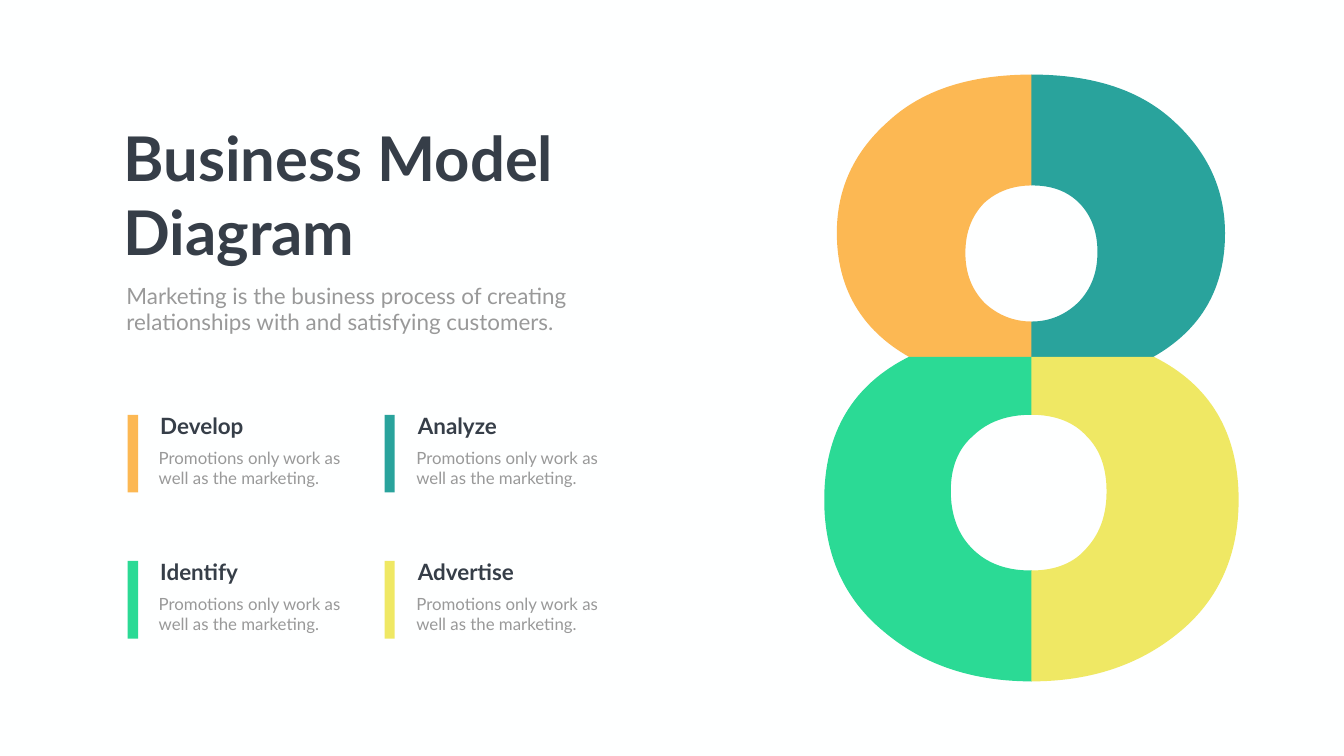
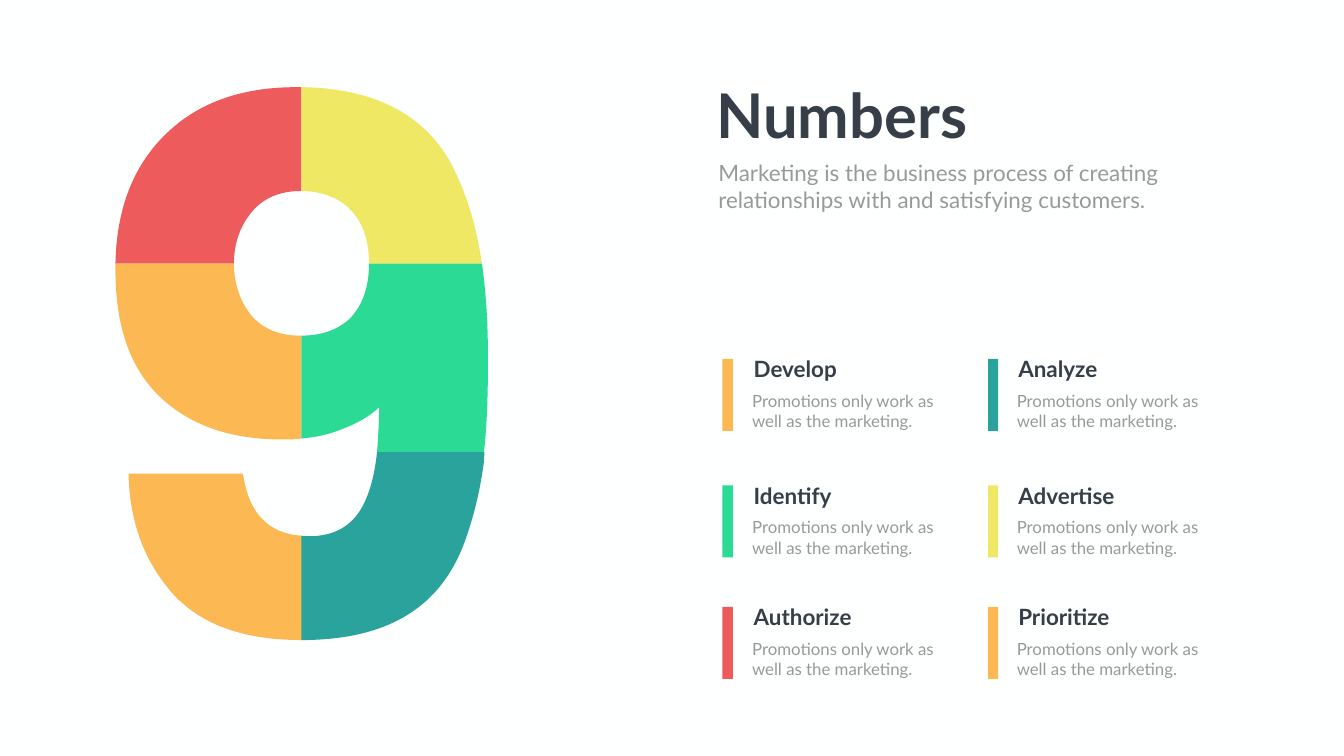
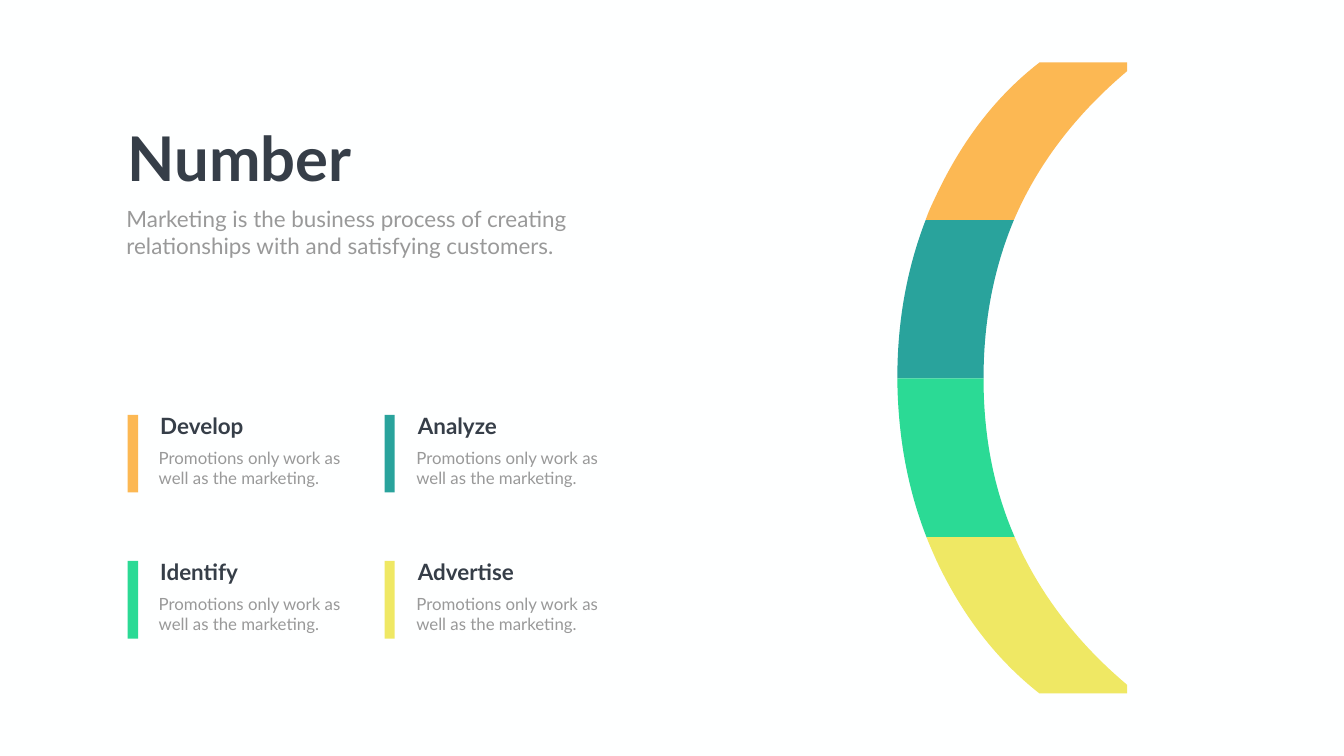
from pptx import Presentation
from pptx.dml.color import RGBColor
from pptx.enum.shapes import MSO_SHAPE
from pptx.enum.text import MSO_AUTO_SIZE
from pptx.oxml.ns import qn
from pptx.util import Inches, Pt

RECT = MSO_SHAPE.RECTANGLE
GROW = MSO_AUTO_SIZE.SHAPE_TO_FIT_TEXT

# Shared colours, text styles and wording
PAPER, DARK, GREY = "FEFFFF", "363E48", "999999"
ORANGE, TEAL, GREEN = "FCB853", "29A39C", "2BDA95"
YELLOW, RED = "EFE864", "ED5B5D"

TITLE = (DARK, {"name": "Lato", "size": Pt(88), "bold": True})
LEAD = (GREY, {"name": "Lato", "size": Pt(32)})
HEAD = (DARK, {"name": "Lato", "size": Pt(32), "bold": True})
BODY = (GREY, {"name": "Lato", "size": Pt(24)})

INTRO = ["Marketing is the business process of creating",
         "relationships with and satisfying customers."]
NOTE = ["Promotions only work as well as the marketing."]
ITEMS = [("Develop", ORANGE), ("Analyze", TEAL), ("Identify", GREEN),
         ("Advertise", YELLOW), ("Authorize", RED), ("Prioritize", ORANGE)]

# Digit outlines: a pair is a corner, six values are a Bezier curve
EIGHT = [
    (ORANGE, [(16.6, 4.62), (16.6, 5.71, 17.08, 6.54, 18.03, 7.08),
              (20.47, 7.08), (20.47, 6.38),
              (20.1, 6.38, 19.79, 6.25, 19.53, 6.01),
              (19.28, 5.75, 19.15, 5.43, 19.15, 5.02),
              (19.15, 4.6, 19.28, 4.28, 19.52, 4.03),
              (19.77, 3.8, 20.09, 3.68, 20.47, 3.68), (20.47, 1.48),
              (19.23, 1.48, 18.29, 1.79, 17.62, 2.41),
              (16.93, 3.02, 16.6, 3.76, 16.6, 4.62)]),
    (GREEN, [(17.53, 12.53), (18.31, 13.19, 19.29, 13.52, 20.47, 13.52),
             (20.47, 11.32), (20.44, 11.32),
             (19.95, 11.32, 19.56, 11.17, 19.28, 10.88),
             (19, 10.6, 18.86, 10.21, 18.86, 9.74),
             (18.86, 9.28, 19, 8.91, 19.3, 8.65),
             (19.59, 8.37, 19.97, 8.23, 20.46, 8.23),
             (20.47, 8.23), (20.47, 7.08), (18.03, 7.08),
             (16.91, 7.64, 16.35, 8.59, 16.35, 9.92),
             (16.35, 11, 16.74, 11.88, 17.53, 12.53)]),
    (TEAL, [(20.48, 3.68), (20.86, 3.68, 21.17, 3.79, 21.41, 4.03),
            (21.65, 4.28, 21.77, 4.6, 21.77, 5),
            (21.77, 5.42, 21.64, 5.74, 21.39, 6),
            (21.13, 6.25, 20.82, 6.38, 20.46, 6.38),
            (20.46, 7.08), (22.88, 7.08),
            (23.83, 6.54, 24.3, 5.72, 24.3, 4.63),
            (24.3, 3.78, 23.97, 3.04, 23.3, 2.42),
            (22.63, 1.79, 21.69, 1.48, 20.46, 1.48), (20.46, 3.68)]),
    (YELLOW, [(22.89, 7.08), (20.46, 7.08), (20.46, 8.23),
              (20.94, 8.23, 21.31, 8.38, 21.56, 8.66),
              (21.83, 8.93, 21.95, 9.3, 21.95, 9.75),
              (21.95, 10.2, 21.83, 10.57, 21.56, 10.87),
              (21.31, 11.17, 20.94, 11.32, 20.46, 11.32), (20.46, 13.52),
              (21.64, 13.52, 22.62, 13.19, 23.41, 12.53),
              (24.18, 11.89, 24.57, 11.01, 24.57, 9.92),
              (24.57, 8.59, 24.01, 7.64, 22.89, 7.08)]),
]
NINE = [
    (RED, [(2.29, 5.23), (4.64, 5.23),
           (4.64, 4.83, 4.76, 4.49, 4.99, 4.21),
           (5.22, 3.93, 5.55, 3.79, 5.97, 3.79),
           (5.98, 3.79), (5.98, 1.73), (5.87, 1.73),
           (4.77, 1.73, 3.89, 2.05, 3.25, 2.7),
           (2.63, 3.32, 2.31, 4.17, 2.29, 5.23)]),
    (ORANGE, [(3.19, 7.89), (3.79, 8.45, 4.59, 8.72, 5.6, 8.72),
              (5.73, 8.72, 5.86, 8.72, 5.98, 8.7),
              (5.98, 6.66), (5.96, 6.66),
              (5.53, 6.66, 5.2, 6.52, 4.97, 6.24),
              (4.76, 5.97, 4.64, 5.62, 4.64, 5.23),
              (2.29, 5.23), (2.29, 5.36),
              (2.29, 6.49, 2.59, 7.33, 3.19, 7.89)]),
    (ORANGE, [(5.99, 10.63), (5.32, 10.59, 4.93, 10.18, 4.82, 9.4),
              (2.55, 9.4), (2.57, 10.35, 2.86, 11.13, 3.41, 11.76),
              (3.97, 12.39, 4.82, 12.7, 5.99, 12.7)]),
    (YELLOW, [(6.96, 4.17), (7.2, 4.42, 7.32, 4.77, 7.32, 5.23),
              (9.56, 5.23), (9.54, 5.12, 9.53, 5.02, 9.51, 4.94),
              (9.4, 4.3, 9.2, 3.73, 8.94, 3.23),
              (8.4, 2.26, 7.41, 1.75, 5.98, 1.73), (5.98, 3.79),
              (6.4, 3.8, 6.72, 3.92, 6.96, 4.17)]),
    (GREEN, [(7.32, 5.23), (7.32, 5.69, 7.2, 6.03, 6.97, 6.29),
             (6.74, 6.53, 6.4, 6.66, 5.98, 6.66), (5.98, 8.7),
             (6.24, 8.68, 6.48, 8.63, 6.72, 8.54),
             (7.07, 8.41, 7.34, 8.26, 7.52, 8.08),
             (7.52, 8.41, 7.5, 8.71, 7.48, 8.97), (9.6, 8.97),
             (9.66, 8.46, 9.68, 7.84, 9.68, 7.12),
             (9.68, 6.41, 9.64, 5.78, 9.56, 5.23)]),
    (TEAL, [(6.13, 10.64), (5.98, 10.63), (5.98, 12.7),
            (7.14, 12.7, 8.01, 12.4, 8.59, 11.79),
            (8.86, 11.51, 9.09, 11.13, 9.25, 10.66),
            (9.41, 10.2, 9.53, 9.7, 9.6, 9.16), (9.61, 8.97), (7.48, 8.97),
            (7.43, 9.44, 7.33, 9.79, 7.19, 10.05),
            (6.97, 10.45, 6.62, 10.64, 6.13, 10.64)]),
]
ARC = [
    (ORANGE, [(18.58, 3.86), (19.1, 2.76, 19.78, 1.89, 20.62, 1.24),
              (22.36, 1.24), (22.36, 1.41),
              (21.34, 2.27, 20.59, 3.25, 20.11, 4.37), (18.36, 4.37),
              (18.42, 4.19, 18.5, 4.03, 18.58, 3.86)]),
    (TEAL, [(20.11, 4.37), (19.71, 5.33, 19.51, 6.37, 19.51, 7.5),
            (19.51, 7.51), (17.8, 7.51), (17.8, 7.49),
            (17.8, 6.37, 17.99, 5.33, 18.36, 4.37)]),
    (GREEN, [(18.38, 10.66), (18, 9.69, 17.81, 8.64, 17.8, 7.51),
             (19.51, 7.51), (19.51, 8.65, 19.71, 9.7, 20.13, 10.66)]),
    (YELLOW, [(18.58, 11.13), (18.51, 10.97, 18.44, 10.82, 18.38, 10.66),
              (20.13, 10.66), (20.61, 11.76, 21.35, 12.74, 22.36, 13.59),
              (22.36, 13.76), (20.62, 13.76),
              (19.78, 13.1, 19.1, 12.23, 18.58, 11.13)]),
]

# Item grids: bar lefts, text lefts, bar tops, bar height, text rise
FOUR = ((2.53, 7.63), (3.08, 8.19), (8.23, 11.13), 1.54, 0.1)
SIX = ((14.33, 19.6), (14.85, 20.1), (7.12, 9.63, 12.04), 1.43, 0.12)
WIDE = (0.21, 0.2)  # bar widths by column

# Slides: digit, title lines, title box, intro place, grid
PAGES = [
    (EIGHT, ["Business Model", "Diagram"], (2.35, 2.33, 10.73, 3.06),
     (2.41, 5.54), FOUR),
    (NINE, ["Numbers"], (14.11, 1.47, 5.28, 1.58), (14.15, 3.1), SIX),
    (ARC, ["Number"], (2.43, 2.33, 10.73, 1.58), (2.41, 4.03), FOUR),
]


def paint(fill, color):
    fill.solid()
    fill.fore_color.rgb = RGBColor.from_string(color)


def write(slide, lines, box, style):
    frame = slide.shapes.add_textbox(*map(Inches, box)).text_frame
    frame.word_wrap = True
    frame.auto_size = GROW
    color, format = style
    frame.text = "\n".join(lines)
    for para in frame.paragraphs:
        font = para.runs[0].font
        paint(font.fill, color)
        for key, value in format.items():
            setattr(font, key, value)


prs = Presentation()
prs.slide_width, prs.slide_height = Inches(26.66), Inches(15)
paint(prs.slide_master.background.fill, PAPER)

for digit, title, place, intro, grid in PAGES:
    slide = prs.slides.add_slide(prs.slide_layouts[6])
    parts = []

    # Digit: draw through every point, then merge three lines into a curve
    for color, outline in digit:
        dots = [(Inches(step[i]), Inches(step[i + 1]))
                for step in outline for i in range(0, len(step), 2)]
        pen = slide.shapes.build_freeform(*dots[0])
        pen.add_line_segments(dots[1:], close=True)
        shape = pen.convert_to_shape()
        parts.append((shape, color))
        trace = next(shape._element.iter(qn("a:path")))
        nodes = iter(trace.findall(qn("a:lnTo")))
        for step in outline[1:]:
            node = next(nodes)
            if len(step) == 6:
                node.tag = qn("a:cubicBezTo")
                for spare in (next(nodes), next(nodes)):
                    node.append(spare[0])
                    trace.remove(spare)

    # Bars, row by row
    bars, texts, tops, tall, rise = grid
    items = [(*divmod(i, 2), *item)
             for i, item in enumerate(ITEMS[:2 * len(tops)])]
    for row, col, name, color in items:
        box = map(Inches, (bars[col], tops[row], WIDE[col], tall))
        parts.append((slide.shapes.add_shape(RECT, *box), color))

    # Plain fills without line or shadow
    for shape, color in parts:
        paint(shape.fill, color)
        shape.line.fill.background()
        shape.shadow.inherit = False

    # Title, intro and item texts
    write(slide, title, place, TITLE)
    write(slide, INTRO, (*intro, 9.08, 1.18), LEAD)
    for row, col, name, color in items:
        left, top = texts[col], tops[row] - rise
        write(slide, [name], (left, top, 2.61, 0.64), HEAD)
        write(slide, NOTE, (left - 0.03, top + 0.7, 4.01, 0.91), BODY)

prs.save("out.pptx")
